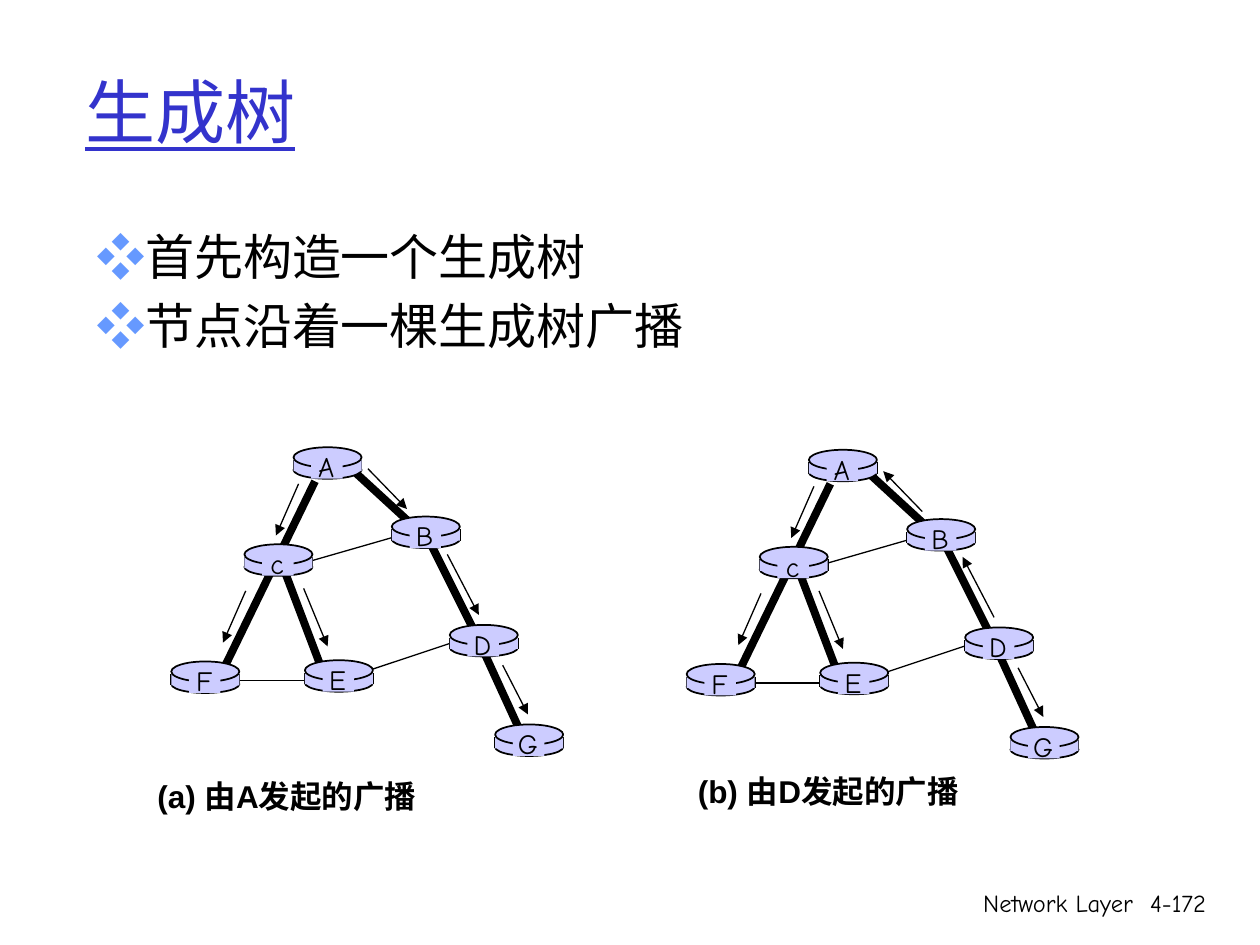
from typing import NamedTuple

from lxml import etree
from pptx import Presentation
from pptx.dml.color import RGBColor
from pptx.enum.shapes import MSO_CONNECTOR, MSO_SHAPE
from pptx.enum.text import MSO_ANCHOR, PP_ALIGN
from pptx.oxml.ns import qn
from pptx.util import Pt

PX = 9144  # 100 px to the inch
OVAL, RECT = MSO_SHAPE.OVAL, MSO_SHAPE.RECTANGLE
STRAIGHT = MSO_CONNECTOR.STRAIGHT
LEFT, CENTER, RIGHT = PP_ALIGN.LEFT, PP_ALIGN.CENTER, PP_ALIGN.RIGHT
TOP, MIDDLE = MSO_ANCHOR.TOP, MSO_ANCHOR.MIDDLE
HAND, SANS = "Comic Neue", "Arial"
BLACK, LILAC, BLUE, SKY = "000000", "CCCCFF", "3333CC", "6699FF"
THIN, OUTLINE, THICK = 0.75, 1, 4.5


class Box(NamedTuple):
    x: int
    y: int
    w: int
    h: int


class Router(NamedTuple):
    name: str
    x: int
    y: int


class Link(NamedTuple):
    ends: str
    x1: int
    y1: int
    x2: int
    y2: int


class Panel(NamedTuple):
    dx: int
    dy: int
    upward: tuple  # arrows that point back towards A
    caption: str
    caption_box: Box


TREE_LINKS = [
    Link("BD", 339, 426, 376, 500), Link("DG", 377, 502, 415, 585),
    Link("EC", 255, 530, 225, 451), Link("AB", 282, 375, 331, 420),
    Link("AF", 250, 382, 176, 534),
]
OTHER_LINKS = [
    Link("DE", 359, 510, 293, 532), Link("EF", 258, 540, 177, 540),
    Link("CB", 244, 446, 317, 425),
]
ARROWS = [
    Link("AC", 237, 384, 219, 425), Link("CF", 195, 469, 177, 510),
    Link("AB", 292, 372, 323, 404), Link("BD", 355, 440, 380, 488),
    Link("DG", 399, 528, 419, 567), Link("CE", 241, 467, 260, 513),
]
ROUTERS = [
    Router("A", 233, 355), Router("B", 311, 410), Router("G", 393, 575),
    Router("D", 357, 496), Router("E", 242, 524), Router("c", 194, 432),
    Router("F", 136, 525),
]
PANELS = [
    Panel(0, 0, (), "(a) 由A发起的广播", Box(115, 612, 229, 40)),
    Panel(409, 2, ("AB", "BD"), "(b) 由D发起的广播", Box(544, 608, 230, 40)),
]


def rgb(value: str) -> RGBColor:
    return RGBColor.from_string(value)


def emu(box: Box) -> list:
    return [v * PX for v in box]


def add_line(shapes, x1: int, y1: int, x2: int, y2: int, width: float, arrow: str = "") -> None:
    """arrow is "", "headEnd" (at the start) or "tailEnd" (at the end)."""
    s = shapes.add_connector(STRAIGHT, x1 * PX, y1 * PX, x2 * PX, y2 * PX)
    s.line.width = Pt(width)
    s.line.color.rgb = rgb(BLACK)
    if arrow:
        etree.SubElement(s.line._get_or_add_ln(), qn("a:" + arrow), type="triangle")
    etree.SubElement(s._element.spPr, qn("a:effectLst"))


def add_solid(shapes, kind, box: Box, outlined: bool = False) -> None:
    sp = shapes.add_shape(kind, *emu(box))
    sp.shadow.inherit = False
    sp.fill.solid()
    sp.fill.fore_color.rgb = rgb(LILAC)
    if outlined:
        sp.line.color.rgb = rgb(BLACK)
        sp.line.width = Pt(OUTLINE)
    else:
        sp.line.fill.background()


def set_font(font, name: str, size: float, color: str) -> None:
    font.name, font.size = name, Pt(size)
    font.color.rgb = rgb(color)


def add_text(shapes, box: Box, text: str, name: str, size: float, color: str = BLACK,
             align=LEFT, anchor=TOP, wrap: bool = True):
    tf = shapes.add_textbox(*emu(box)).text_frame
    tf.word_wrap = wrap
    tf.vertical_anchor = anchor
    p = tf.paragraphs[0]
    p.text, p.alignment = text, align
    set_font(p.font, name, size, color)
    return p


def add_router(shapes, name: str, x: int, y: int) -> None:
    add_solid(shapes, OVAL, Box(x, y + 11, 54, 14), True)
    for side in (x, x + 54):
        add_line(shapes, side, y + 10, side, y + 19, OUTLINE)
    add_solid(shapes, RECT, Box(x, y + 10, 54, 9))
    add_solid(shapes, OVAL, Box(x, y, 54, 16), True)
    add_solid(shapes, RECT, Box(x + 14, y + 2, 25, 23))
    add_text(shapes, Box(x + 8, y - 3, 36, 37), name, HAND, 16, align=CENTER, wrap=False)


def add_panel(slide, panel: Panel) -> None:
    shapes = slide.shapes.add_group_shape().shapes
    dx, dy = panel.dx, panel.dy

    def draw(links: list, width: float, arrows: bool = False) -> None:
        for ends, x1, y1, x2, y2 in links:
            arrow = ("headEnd" if ends in panel.upward else "tailEnd") if arrows else ""
            add_line(shapes, x1 + dx, y1 + dy, x2 + dx, y2 + dy, width, arrow)

    draw(TREE_LINKS, THICK)
    draw(OTHER_LINKS, THIN)
    for name, x, y in ROUTERS:
        add_router(shapes, name, x + dx, y + dy)
    draw(ARROWS, THIN, True)
    p = add_text(shapes, panel.caption_box, panel.caption, SANS, 18)
    p.font.bold = True


def add_bullets(slide, box: Box, items: list) -> None:
    tf = slide.shapes.add_textbox(*emu(box)).text_frame
    tf.word_wrap = True
    for i, item in enumerate(items):
        p = tf.add_paragraph() if i else tf.paragraphs[0]
        if i:
            p.space_before = Pt(5.6)
        for text, name, color in ((" ", HAND, BLACK), ("❖", SANS, SKY), (item, HAND, BLACK)):
            r = p.add_run()
            r.text = text
            set_font(r.font, name, 28, color)


def main() -> None:
    prs = Presentation()
    prs.slide_width, prs.slide_height = 1000 * PX, 750 * PX
    slide = prs.slides.add_slide(prs.slide_layouts[6])

    # Footer
    add_text(slide.shapes, Box(592, 700, 317, 50), "Network Layer", HAND, 14, align=RIGHT)
    add_text(slide.shapes, Box(893, 700, 74, 50), "4-172", HAND, 14, align=RIGHT)

    # Broadcast trees
    for panel in PANELS:
        add_panel(slide, panel)

    # Title and body
    p = add_text(slide.shapes, Box(58, 25, 850, 125), "生成树", HAND, 40, BLUE, anchor=MIDDLE)
    p.font.underline = True
    add_bullets(slide, Box(58, 175, 850, 203), ["首先构造一个生成树", "节点沿着一棵生成树广播"])

    prs.save("out.pptx")


if __name__ == "__main__":
    main()
